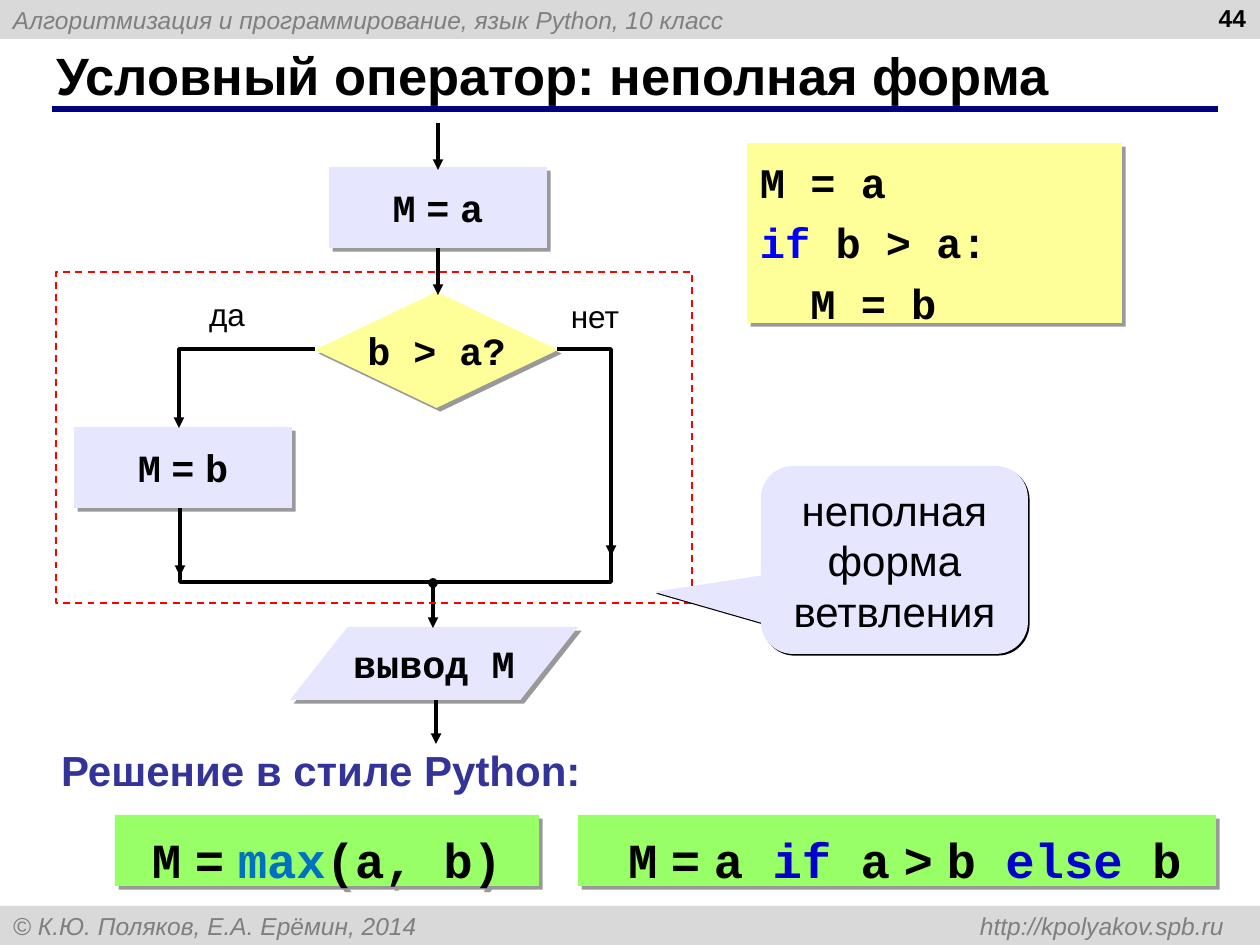
from dataclasses import dataclass
from typing import NamedTuple

from lxml.etree import SubElement
from pptx import Presentation
from pptx.dml.color import RGBColor
from pptx.enum.dml import MSO_LINE_DASH_STYLE as Dash
from pptx.enum.shapes import MSO_CONNECTOR as Link, MSO_SHAPE as Shape
from pptx.enum.text import MSO_ANCHOR as Anchor, PP_ALIGN as Align
from pptx.oxml.ns import qn
from pptx.util import Pt

SCALE = 914400 / 126  # EMU in one px


@dataclass(frozen=True)
class Theme:
    sans: str = "Arial"
    mono: str = "Courier New"
    black: str = "000000"
    band: str = "D9D9D9"
    muted: str = "7F7F7F"
    navy: str = "000080"
    heading: str = "333399"
    lilac: str = "E6E6FF"
    yellow: str = "FFFF99"
    green: str = "99FF66"
    red: str = "FF0000"
    keyword: str = "0000FF"
    inline_keyword: str = "0000CC"
    builtin: str = "0070C0"
    small: int = 14
    label: int = 18
    node: int = 22
    body: int = 24
    formula: int = 28
    title: int = 30


THEME = Theme()


class Box(NamedTuple):
    left: int
    top: int
    width: int
    height: int


class Run(NamedTuple):
    text: str
    color: str = THEME.black
    font: str = THEME.mono


class Style(NamedTuple):
    size: int
    bold: bool = False
    italic: bool = False
    align: Align = Align.LEFT
    anchor: Anchor = Anchor.MIDDLE
    wrap: bool = True
    left: int = 13
    top: int = 6
    space: int = 0


class Shadow(NamedTuple):
    distance: float
    opacity: int


class Node(NamedTuple):
    kind: Shape
    box: Box
    fill: str
    runs: list[Run]


SOFT = Shadow(3, 40)
HARD = Shadow(1.4, 100)
NODE = Style(THEME.node, bold=True, align=Align.CENTER, wrap=False)
LABEL = Style(THEME.label, align=Align.CENTER, anchor=Anchor.TOP)
BAND = Style(THEME.small, italic=True)
FORMULA = Style(THEME.formula, bold=True, anchor=Anchor.TOP, top=15)


def px(length: float) -> int:
    return round(length * SCALE)


def place(box: Box) -> list[int]:
    return [px(side) for side in box]


def apply(target, formats: dict) -> None:
    for name, value in formats.items():
        setattr(target, name, value)


def sans(text: str, color: str = THEME.black) -> Run:
    return Run(text, color, THEME.sans)


def spaced(text: str) -> list[Run]:
    """Set the words in the code font and the spaces in the narrower text font."""
    runs = []
    for word in text.split(" "):
        runs += [sans(" "), Run(word)]
    return runs[1:]


def write(shape, lines: list[list[Run]], style: Style, right_tab: int = 0) -> None:
    frame = shape.text_frame
    apply(frame, dict(word_wrap=style.wrap, vertical_anchor=style.anchor,
                      margin_left=px(style.left), margin_right=px(13),
                      margin_top=px(style.top), margin_bottom=px(6)))
    for index, runs in enumerate(lines):
        line = frame.add_paragraph() if index else frame.paragraphs[0]
        line.alignment = style.align
        if index:
            line.space_before = Pt(style.space)
        if right_tab:
            tabs = SubElement(line._p.get_or_add_pPr(), qn("a:tabLst"))
            SubElement(tabs, qn("a:tab"), pos=str(px(right_tab)), algn="r")
        for run in runs:
            part = line.add_run()
            part.text = run.text
            apply(part.font, dict(name=run.font, size=Pt(style.size),
                                  bold=style.bold, italic=style.italic))
            part.font.color.rgb = RGBColor.from_string(run.color)


def add_block(slide, kind: Shape, box: Box, fill: str, shadow: Shadow | None = None):
    block = slide.shapes.add_shape(kind, *place(box))
    block.fill.solid()
    block.fill.fore_color.rgb = RGBColor.from_string(fill)
    block.line.fill.background()
    block.shadow.inherit = False
    if shadow:
        effects = block.element.spPr.find(qn("a:effectLst"))
        outer = SubElement(effects, qn("a:outerShdw"), blurRad="0", dir="2700000",
                           dist=str(Pt(shadow.distance)), algn="ctr", rotWithShape="0")
        tint = SubElement(outer, qn("a:srgbClr"), val=THEME.black)
        SubElement(tint, qn("a:alpha"), val=str(shadow.opacity * 1000))
    return block


def add_text(slide, box: Box, runs: list[Run], style: Style) -> None:
    write(slide.shapes.add_textbox(*place(box)), [runs], style)


def stroke(shape, color: str, width: float, arrow: bool = False) -> None:
    shape.line.color.rgb = RGBColor.from_string(color)
    shape.line.width = Pt(width)
    if arrow:
        SubElement(shape.element.spPr.find(qn("a:ln")), qn("a:tailEnd"), type="triangle")


def add_line(slide, start: tuple[int, int], end: tuple[int, int],
             color: str = THEME.black, width: float = 2, arrow: bool = True) -> None:
    line = slide.shapes.add_connector(Link.STRAIGHT, *map(px, start + end))
    stroke(line, color, width, arrow)
    SubElement(line.element.spPr, qn("a:effectLst"))


def add_route(slide, points: list[tuple[int, int]], arrow: bool) -> None:
    builder = slide.shapes.build_freeform(*points[0], scale=SCALE)
    builder.add_line_segments(points[1:], close=False)
    route = builder.convert_to_shape()
    route.fill.background()
    route.shadow.inherit = False
    stroke(route, THEME.black, 2, arrow)


def add_frame(slide) -> None:
    header = add_block(slide, Shape.RECTANGLE, Box(0, 0, 1260, 39), THEME.band)
    write(header, [[sans("Алгоритмизация и программирование, язык Python, 10 класс",
                         THEME.muted)]], BAND)
    footer = add_block(slide, Shape.RECTANGLE, Box(0, 906, 1260, 39), THEME.band)
    write(footer, [[sans("© К.Ю. Поляков, Е.А. Ерёмин, 2014\thttp://kpolyakov.spb.ru",
                         THEME.muted)]], BAND, right_tab=1211)
    add_line(slide, (52, 109), (1218, 109), THEME.navy, 3, arrow=False)
    title = slide.shapes.title
    apply(title, dict(zip(("left", "top", "width", "height"), place(Box(43, 42, 1154, 66)))))
    write(title, [[sans("Условный оператор: неполная форма")]], Style(THEME.title, bold=True))
    add_text(slide, Box(965, -3, 294, 66), [sans("44")],
             Style(THEME.small, bold=True, align=Align.RIGHT, anchor=Anchor.TOP))


def add_flowchart(slide) -> None:
    nodes = [
        Node(Shape.RECTANGLE, Box(329, 167, 218, 81), THEME.lilac, spaced("M = a")),
        Node(Shape.FLOWCHART_DECISION, Box(315, 292, 243, 116), THEME.yellow, [Run("b > a?")]),
        Node(Shape.RECTANGLE, Box(74, 427, 218, 81), THEME.lilac, spaced("M = b")),
        Node(Shape.FLOWCHART_DATA, Box(290, 627, 288, 73), THEME.lilac, [Run("вывод M")]),
    ]
    for node in nodes:
        write(add_block(slide, node.kind, node.box, node.fill, SOFT), [node.runs], NODE)
    for x, top, bottom in [(438, 123, 170), (438, 248, 295), (180, 532, 576),
                           (433, 583, 628), (436, 700, 744)]:
        add_line(slide, (x, top), (x, bottom))
    add_route(slide, [(557, 349), (611, 349), (611, 556)], arrow=True)
    add_route(slide, [(315, 349), (179, 349), (179, 428)], arrow=True)
    add_route(slide, [(180, 508), (180, 582), (611, 582), (611, 508)], arrow=False)
    junction = add_block(slide, Shape.OVAL, Box(429, 579, 8, 8), THEME.black)
    stroke(junction, THEME.black, 1)
    add_text(slide, Box(180, 289, 94, 50), [sans("да")], LABEL)
    add_text(slide, Box(548, 291, 94, 50), [sans("нет")], LABEL)
    branch = add_block(slide, Shape.RECTANGLE, Box(56, 272, 636, 331), THEME.red)
    branch.fill.background()
    stroke(branch, THEME.red, 1)
    branch.line.dash_style = Dash.DASH


def add_explanations(slide) -> None:
    callout = add_block(slide, Shape.ROUNDED_RECTANGULAR_CALLOUT,
                        Box(761, 466, 267, 188), THEME.lilac, HARD)
    for index, value in enumerate((-0.9, 0.17, 0.17)):
        callout.adjustments[index] = value
    write(callout, [[sans("неполная форма ветвления")]], Style(THEME.body, align=Align.CENTER))

    program = add_block(slide, Shape.RECTANGLE, Box(747, 143, 375, 180), THEME.yellow, SOFT)
    write(program, [[Run("M = a")], [Run("if", THEME.keyword), Run(" b > a:")], [Run("  M = b")]],
          Style(THEME.body, bold=True, anchor=Anchor.TOP, top=13, space=6))

    add_text(slide, Box(48, 739, 546, 63), [sans("Решение в стиле Python:", THEME.heading)],
             Style(THEME.body, bold=True, anchor=Anchor.TOP, wrap=False))
    built_in = add_block(slide, Shape.RECTANGLE, Box(115, 815, 424, 71), THEME.green, SOFT)
    write(built_in, [[*spaced("M ="), sans(" "), Run("max", THEME.builtin), Run("(a, b)")]],
          FORMULA._replace(align=Align.CENTER))
    conditional = add_block(slide, Shape.RECTANGLE, Box(578, 815, 638, 71), THEME.green, SOFT)
    write(conditional, [[*spaced("M = a"), Run(" "), Run("if", THEME.inline_keyword), Run(" "),
                         *spaced("a > b"), Run(" "), Run("else", THEME.inline_keyword),
                         Run(" b")]], FORMULA._replace(left=50))


def main() -> None:
    deck = Presentation()
    apply(deck, dict(slide_width=px(1260), slide_height=px(945)))
    slide = deck.slides.add_slide(deck.slide_layouts[5])
    for add_part in (add_frame, add_flowchart, add_explanations):
        add_part(slide)
    deck.save("out.pptx")


if __name__ == "__main__":
    main()
